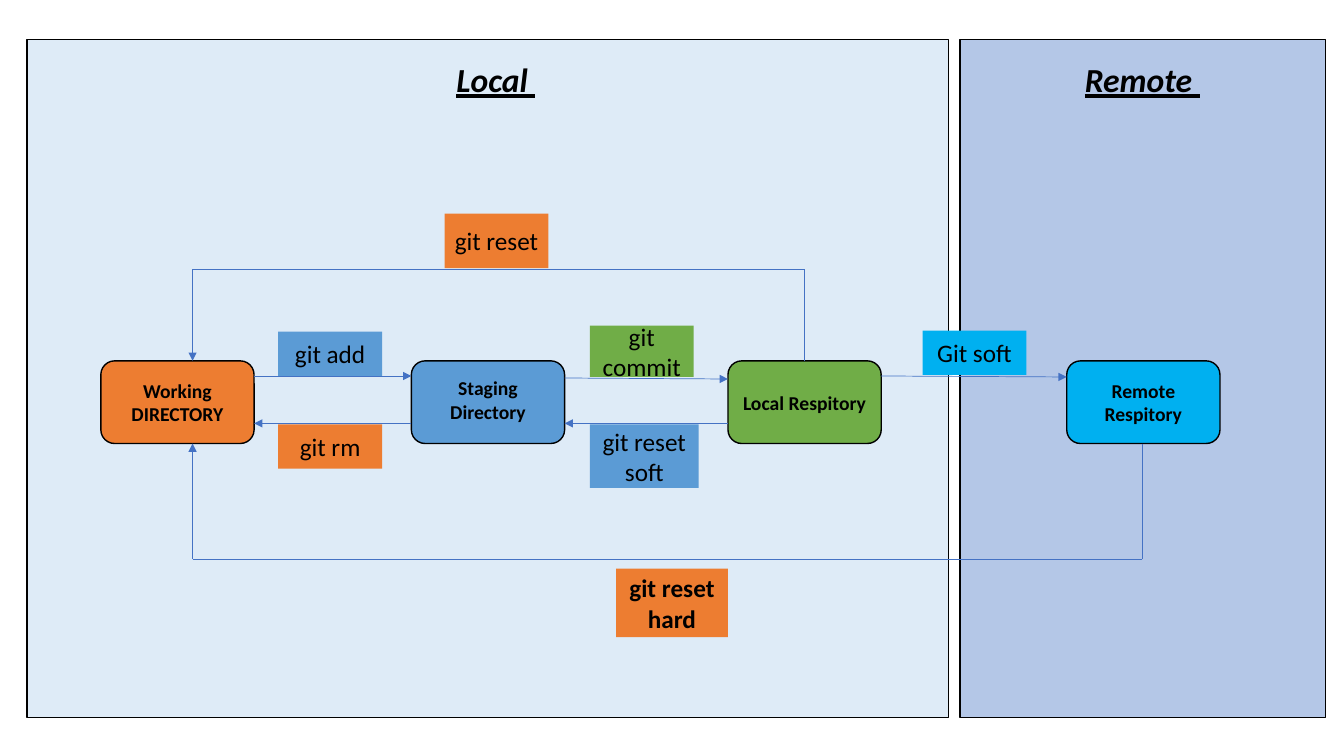
from dataclasses import dataclass
from itertools import pairwise

from lxml import etree
from pptx import Presentation
from pptx.dml.color import RGBColor
from pptx.enum import shapes, text
from pptx.oxml import ns
from pptx.shapes.autoshape import Shape
from pptx.slide import Slide
from pptx import util as u

EMU_PER_PX = 9144  # 100 px to the inch


@dataclass(frozen=True)
class Theme:
    font: str = "Calibri"
    ink: str = "000000"
    arrow: str = "4472C4"
    local: str = "DEEBF7"
    remote: str = "B4C7E7"
    working: str = "ED7D31"
    staging: str = "5B9BD5"
    repository: str = "70AD47"
    server: str = "00B0F0"
    zone_size: int = 24
    stage_size: int = 14
    command_size: int = 18
    outline: float = 1
    arrow_width: float = 0.5


THEME = Theme()


@dataclass(frozen=True)
class Box:
    left: int
    top: int
    width: int
    height: int
    fill: str
    label: str = ""
    size: int = THEME.command_size
    bold: bool = False
    heading: bool = False
    outlined: bool = False
    rounded: bool = False
    bottom_inset: int = 5


Point = tuple[int, int]


def px(length: int) -> u.Emu:
    return u.Emu(length * EMU_PER_PX)


def zone(left: int, width: int, fill: str) -> Box:
    return Box(left, 39, width, 673, fill, outlined=True)


def zone_title(left: int, width: int, fill: str, label: str) -> Box:
    return Box(left, 58, width, 41, fill, label, THEME.zone_size, bold=True, heading=True)


def stage(left: int, fill: str, label: str, bottom_inset: int = 5) -> Box:
    return Box(left, STAGE_TOP, STAGE_WIDTH, STAGE_HEIGHT, fill, label, THEME.stage_size,
               bold=True, outlined=True, rounded=True, bottom_inset=bottom_inset)


STAGE_TOP, STAGE_WIDTH, STAGE_HEIGHT = 358, 152, 82
STAGE_BOTTOM = STAGE_TOP + STAGE_HEIGHT
WORKING, STAGING, REPOSITORY, SERVER = 100, 408, 722, 1058
FORWARD_Y, BACK_Y, RESET_Y, HARD_RESET_Y = 373, 420, 267, 555
WORKING_X, REPOSITORY_X, SERVER_X = 191, 798, 1133

ZONES = [
    zone(27, 914, THEME.local),
    zone(952, 363, THEME.remote),
    zone_title(82, 820, THEME.local, "Local "),
    zone_title(983, 300, THEME.remote, "Remote "),
    Box(82, 109, 820, 567, THEME.local),
]

STAGES = [
    stage(WORKING, THEME.working, "Working DIRECTORY"),
    stage(STAGING, THEME.staging, "Staging Directory", bottom_inset=10),
    stage(REPOSITORY, THEME.repository, "Local Respitory"),
    stage(SERVER, THEME.server, "Remote Respitory"),
]

ROUTES: list[list[Point]] = [
    [(WORKING + STAGE_WIDTH, FORWARD_Y), (STAGING, FORWARD_Y)],
    [(STAGING, BACK_Y), (WORKING + STAGE_WIDTH, BACK_Y)],
    [(REPOSITORY, BACK_Y), (STAGING + STAGE_WIDTH, BACK_Y)],
    [(STAGING + STAGE_WIDTH, FORWARD_Y + 2), (REPOSITORY, FORWARD_Y + 3)],
    [(REPOSITORY + STAGE_WIDTH, FORWARD_Y), (SERVER, FORWARD_Y + 1)],
    [(SERVER_X, STAGE_BOTTOM), (SERVER_X, HARD_RESET_Y),
     (WORKING_X, HARD_RESET_Y), (WORKING_X, STAGE_BOTTOM)],
    [(REPOSITORY_X, STAGE_TOP), (REPOSITORY_X, RESET_Y),
     (WORKING_X, RESET_Y), (WORKING_X, STAGE_TOP)],
]

COMMANDS = [
    Box(276, 329, 103, 44, THEME.staging, "git add"),
    Box(276, 421, 103, 44, THEME.working, "git rm"),
    Box(585, 323, 103, 51, THEME.repository, "git commit"),
    Box(585, 421, 108, 63, THEME.staging, "git reset soft"),
    Box(915, 328, 103, 44, THEME.server, "Git soft"),
    Box(441, 212, 103, 54, THEME.working, "git reset"),
    Box(611, 564, 111, 68, THEME.working, "git reset hard", bold=True),
]


def write_label(shape: Shape, box: Box) -> None:
    frame = shape.text_frame
    frame.text = box.label
    frame.word_wrap = True
    frame.vertical_anchor = text.MSO_ANCHOR.MIDDLE
    frame.margin_left = frame.margin_right = px(10)
    frame.margin_top, frame.margin_bottom = px(5), px(box.bottom_inset)
    paragraph = frame.paragraphs[0]
    paragraph.alignment = text.PP_ALIGN.CENTER
    for run in paragraph.runs:
        font = run.font
        font.name, font.size, font.bold = THEME.font, u.Pt(box.size), box.bold
        font.italic = font.underline = box.heading
        font.color.rgb = RGBColor.from_string(THEME.ink)


def draw_box(slide: Slide, box: Box) -> None:
    kind = shapes.MSO_SHAPE.ROUNDED_RECTANGLE if box.rounded else shapes.MSO_SHAPE.RECTANGLE
    shape = slide.shapes.add_shape(
        kind, px(box.left), px(box.top), px(box.width), px(box.height))
    shape.shadow.inherit = False
    shape.fill.solid()
    shape.fill.fore_color.rgb = RGBColor.from_string(box.fill)
    if box.outlined:
        shape.line.color.rgb = RGBColor.from_string(THEME.ink)
        shape.line.width = u.Pt(THEME.outline)
    else:
        shape.line.fill.background()
    if box.label:
        write_label(shape, box)


def draw_route(slide: Slide, route: list[Point]) -> None:
    """Draw a line through the points, with an arrowhead at the last one."""
    for start, end in pairwise(route):
        segment = slide.shapes.add_connector(
            shapes.MSO_CONNECTOR.STRAIGHT, *map(px, start + end))
        segment.line.color.rgb = RGBColor.from_string(THEME.arrow)
        segment.line.width = u.Pt(THEME.arrow_width)
        properties = segment._element.spPr
        if end == route[-1]:
            outline = properties.find(ns.qn("a:ln"))
            etree.SubElement(outline, ns.qn("a:tailEnd"), type="triangle")
        etree.SubElement(properties, ns.qn("a:effectLst"))


def main() -> None:
    deck = Presentation()
    deck.slide_width, deck.slide_height = px(1333), px(750)
    slide = deck.slides.add_slide(deck.slide_layouts[6])
    for box in ZONES + STAGES:
        draw_box(slide, box)
    for route in ROUTES:
        draw_route(slide, route)
    for command in COMMANDS:
        draw_box(slide, command)
    deck.save("out.pptx")


if __name__ == "__main__":
    main()
